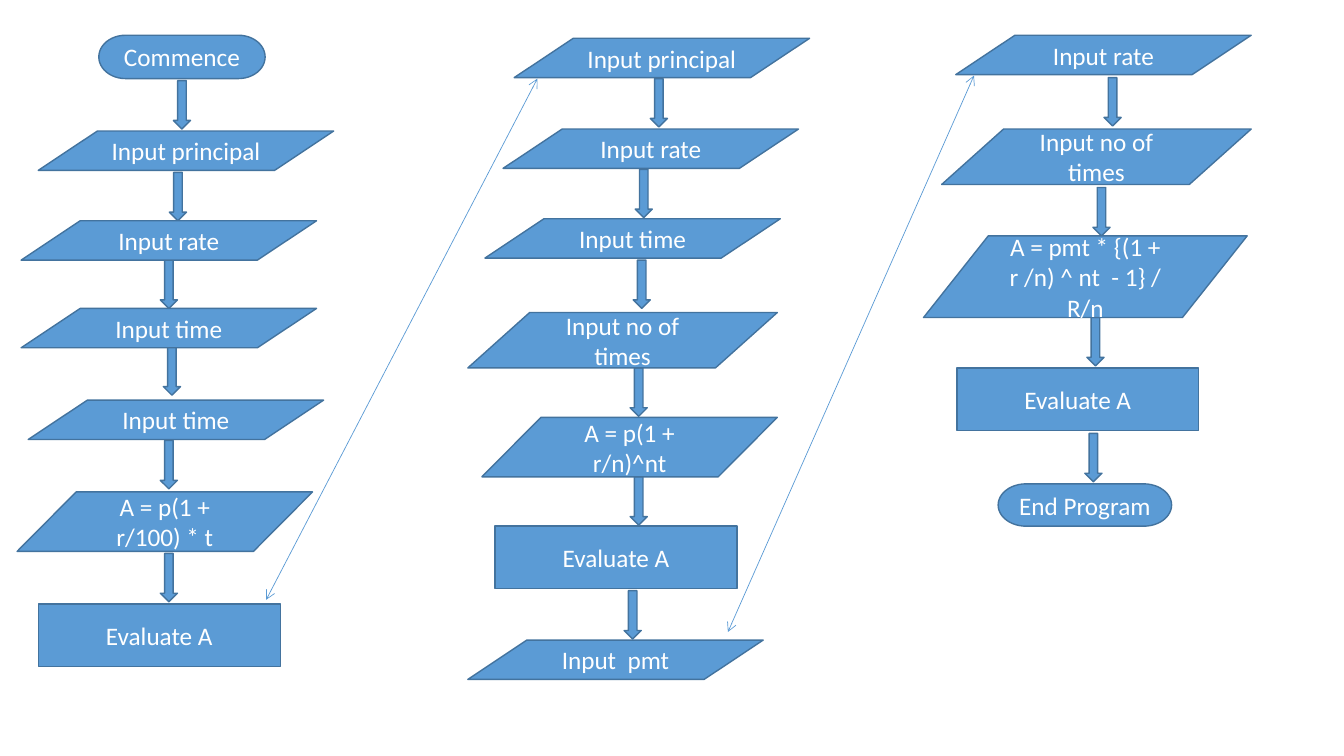
from pptx import Presentation
from pptx.dml.color import RGBColor
from pptx.enum.shapes import MSO_CONNECTOR, MSO_SHAPE
from pptx.enum.text import MSO_ANCHOR, PP_ALIGN
from pptx.oxml.ns import qn
from pptx.util import Emu, Pt
from lxml import etree

TERMINATOR = MSO_SHAPE.FLOWCHART_TERMINATOR
DATA = MSO_SHAPE.FLOWCHART_DATA
PROCESS = MSO_SHAPE.RECTANGLE
DOWN_ARROW = MSO_SHAPE.DOWN_ARROW
STRAIGHT = MSO_CONNECTOR.STRAIGHT
MIDDLE = MSO_ANCHOR.MIDDLE
CENTER = PP_ALIGN.CENTER

BLUE = RGBColor(0x5B, 0x9B, 0xD5)
DARK_BLUE = RGBColor(0x43, 0x73, 0x9E)
WHITE = RGBColor(0xFF, 0xFF, 0xFF)

PX = 9144
PAGE_SIZE = (1333, 750)
BLANK_LAYOUT = 6
ARROW_SIZE = (17, 48)
DATA_SIZE = (293, 39)
FORMULA_SIZE = (293, 59)
TIMES_SIZE = (307, 55)
PROCESS_SIZE = (240, 62)

FIRST_STEPS = [
    (TERMINATOR, 98, 35, (165, 43), "Commence"),
    (DATA, 38, 130, DATA_SIZE, "Input principal"),
    (DATA, 21, 219, DATA_SIZE, "Input rate"),
    (DATA, 21, 306, DATA_SIZE, "Input time"),
    (DATA, 28, 397, DATA_SIZE, "Input time"),
    (DATA, 17, 488, FORMULA_SIZE, "A = p(1 + r/100) * t"),
    (PROCESS, 38, 599, PROCESS_SIZE, "Evaluate A"),
]
SECOND_STEPS = [
    (DATA, 510, 38, DATA_SIZE, "Input principal"),
    (DATA, 499, 128, DATA_SIZE, "Input rate"),
    (DATA, 481, 217, DATA_SIZE, "Input time"),
    (DATA, 464, 310, TIMES_SIZE, "Input no of times"),
    (DATA, 478, 414, FORMULA_SIZE, "A = p(1 + r/n)^nt"),
    (PROCESS, 491, 522, PROCESS_SIZE, "Evaluate A"),
    (DATA, 464, 635, DATA_SIZE, "Input  pmt"),
]
THIRD_STEPS = [
    (DATA, 948, 35, DATA_SIZE, "Input rate"),
    (DATA, 934, 128, TIMES_SIZE, "Input no of times"),
    (DATA, 916, 234, (321, 81), "A = pmt * {(1 + r /n) ^ nt  - 1} / R/n"),
    (PROCESS, 949, 365, PROCESS_SIZE, "Evaluate A"),
    (TERMINATOR, 990, 480, (172, 42), "End Program"),
]
FIRST_ARROWS = [(172, 80), (168, 171), (159, 258), (162, 344), (159, 437), (159, 549)]
SECOND_ARROWS = [(645, 78), (630, 168), (628, 258), (625, 365), (625, 473), (619, 586)]
THIRD_ARROWS = [(1095, 77), (1084, 186), (1078, 315), (1076, 430)]
COLUMN_LINKS = [((264, 595), (533, 78)), ((722, 627), (966, 75))]


class Flowchart:
    font = "Calibri"
    text_size = Pt(18)
    outline = Pt(1)
    link_width = Pt(0.5)

    def __init__(self, page):
        self.page = page

    def shape(self, kind, left, top, size):
        bounds = [Emu(value * PX) for value in (left, top, *size)]
        box = self.page.shapes.add_shape(kind, *bounds)
        box.shadow.inherit = False
        box.fill.solid()
        box.fill.fore_color.rgb = BLUE
        box.line.color.rgb = DARK_BLUE
        box.line.width = self.outline
        return box

    def step(self, kind, left, top, size, text):
        frame = self.shape(kind, left, top, size).text_frame
        frame.word_wrap = True
        frame.vertical_anchor = MIDDLE
        para = frame.paragraphs[0]
        para.alignment = CENTER
        span = para.add_run()
        span.text = text
        span.font.name = self.font
        span.font.size = self.text_size
        span.font.color.rgb = WHITE

    def arrow(self, left, top):
        self.shape(DOWN_ARROW, left, top, ARROW_SIZE)

    def link(self, start, end):
        points = [Emu(value * PX) for value in (*start, *end)]
        line = self.page.shapes.add_connector(STRAIGHT, *points)
        line.line.color.rgb = BLUE
        line.line.width = self.link_width
        outline = line.line._get_or_add_ln()
        for tag in ("a:headEnd", "a:tailEnd"):
            etree.SubElement(outline, qn(tag), type="arrow")
        etree.SubElement(line._element.spPr, qn("a:effectLst"))


def main():
    deck = Presentation()
    deck.slide_width, deck.slide_height = [Emu(side * PX) for side in PAGE_SIZE]
    page = deck.slides.add_slide(deck.slide_layouts[BLANK_LAYOUT])
    chart = Flowchart(page)
    for position in FIRST_ARROWS + SECOND_ARROWS + THIRD_ARROWS:
        chart.arrow(*position)
    for step in FIRST_STEPS + SECOND_STEPS + THIRD_STEPS:
        chart.step(*step)
    for ends in COLUMN_LINKS:
        chart.link(*ends)
    deck.save("out.pptx")


if __name__ == "__main__":
    main()
